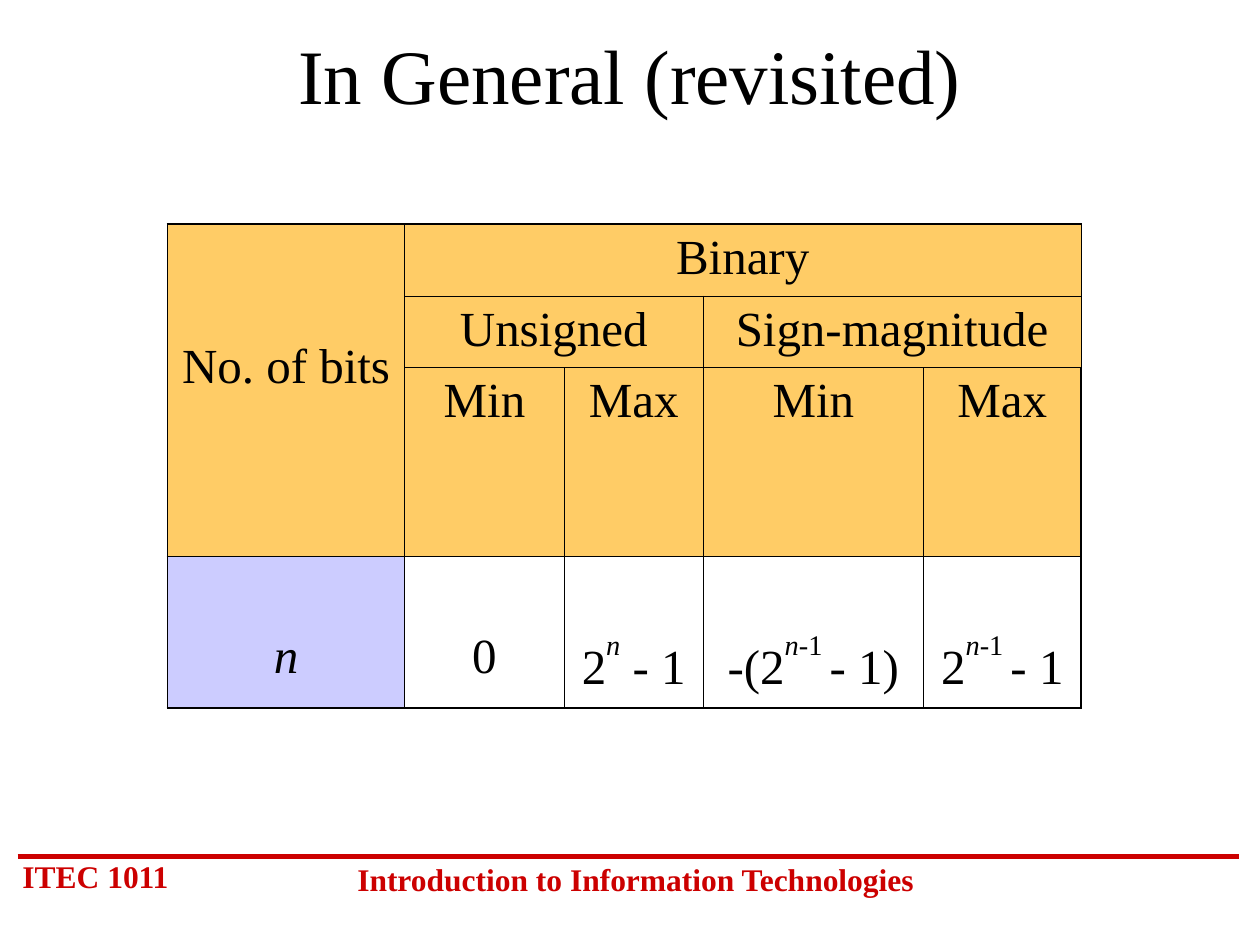
from dataclasses import dataclass

from lxml import etree
from pptx import Presentation
from pptx import util as u
from pptx.dml.color import RGBColor
from pptx.enum import shapes, text
from pptx.oxml import ns

FONT = "Times New Roman"
BLACK, RED, GOLD, LILAC = "000000", "CC0000", "FFCC66", "CCCCFF"
THIN, THICK = 0.45, 1.08
COLUMNS = [1.88, 1.27, 1.1, 1.75, 1.25]
ROWS = [0.57, 0.57, 1.5, 1.2]


@dataclass
class Span:
    words: str
    italic: bool = False
    raised: bool = False


@dataclass
class Entry:
    row: int
    column: int
    spans: list[Span]
    fill: str | None = GOLD
    rows: int = 1
    columns: int = 1
    top: float = 0.05


@dataclass
class Label:
    words: str
    left: float
    top: float
    width: float
    height: float
    size: int
    color: str
    bold: bool = False
    centred: bool = True
    anchor: text.MSO_ANCHOR = text.MSO_ANCHOR.TOP


N = Span("n", italic=True, raised=True)
MINUS_ONE = Span("-1 ", raised=True)
FORMULAS = [
    [Span("n", italic=True)],
    [Span("0")],
    [Span("2"), N, Span(" - 1")],
    [Span("-(2"), N, MINUS_ONE, Span("- 1)")],
    [Span("2"), N, MINUS_ONE, Span("- 1")],
]
ENTRIES = [
    Entry(0, 0, [Span("No. of bits")], rows=3, top=0.92),
    Entry(0, 1, [Span("Binary")], columns=4),
    Entry(1, 1, [Span("Unsigned")], columns=2),
    Entry(1, 3, [Span("Sign-magnitude")], columns=2),
    *[Entry(2, column, [Span("Max" if column % 2 == 0 else "Min")])
      for column in range(1, 5)],
    *[Entry(3, column, spans, LILAC if column == 0 else None, top=0.58)
      for column, spans in enumerate(FORMULAS)],
]
LABELS = [
    Label("ITEC 1011", 0.08, 6.75, 1.5, 0.4, 18, RED, bold=True, centred=False),
    Label("Introduction to Information Technologies",
          2.67, 6.78, 4.75, 0.4, 18, RED, bold=True),
    Label("In General (revisited)", 0.75, 0.17, 8.5, 0.83, 44, BLACK,
          anchor=text.MSO_ANCHOR.MIDDLE),
]


def rgb(color: str) -> RGBColor:
    return RGBColor.from_string(color)


def style(font, size: float, color: str, bold=False, italic=False) -> None:
    font.name, font.size = FONT, u.Pt(size)
    font.bold, font.italic = bold, italic
    font.color.rgb = rgb(color)


def add_label(page, label: Label) -> None:
    box = page.shapes.add_textbox(
        *map(u.Inches, (label.left, label.top, label.width, label.height)))
    frame = box.text_frame
    frame.word_wrap = True
    frame.vertical_anchor = label.anchor
    frame.text = label.words
    para = frame.paragraphs[0]
    para.alignment = text.PP_ALIGN.CENTER if label.centred else text.PP_ALIGN.LEFT
    style(para.runs[0].font, label.size, label.color, label.bold)


def add_rule(page) -> None:
    rule = page.shapes.add_connector(
        shapes.MSO_CONNECTOR.STRAIGHT,
        *map(u.Inches, (0.14, 6.8, 9.83, 6.8)))
    rule.line.color.rgb = rgb(RED)
    rule.line.width = u.Pt(3)
    etree.SubElement(rule._element.spPr, ns.qn("a:effectLst"))


def set_borders(cell, row: int, column: int) -> None:
    """Draw thick lines on the table's outer edge and thin ones inside."""
    outer = {
        "a:lnL": column == 0,
        "a:lnR": column == len(COLUMNS) - 1,
        "a:lnT": row == 0,
        "a:lnB": row == len(ROWS) - 1,
    }
    properties = cell._tc.get_or_add_tcPr()
    for tag, is_outer in outer.items():
        width = u.Pt(THICK if is_outer else THIN)
        line = etree.SubElement(properties, ns.qn(tag), w=str(int(width)))
        fill = etree.SubElement(line, ns.qn("a:solidFill"))
        etree.SubElement(fill, ns.qn("a:srgbClr"), val=BLACK)


def fill_entry(table, entry: Entry) -> None:
    cell = table.cell(entry.row, entry.column)
    if entry.rows * entry.columns > 1:
        cell.merge(table.cell(entry.row + entry.rows - 1,
                              entry.column + entry.columns - 1))
    if entry.fill:
        cell.fill.solid()
        cell.fill.fore_color.rgb = rgb(entry.fill)
    else:
        cell.fill.background()
    cell.margin_top = u.Inches(entry.top)
    para = cell.text_frame.paragraphs[0]
    para.alignment = text.PP_ALIGN.CENTER
    for part in entry.spans:
        span = para.add_run()
        span.text = part.words
        style(span.font, 28, BLACK, italic=part.italic)
        if part.raised:
            span._r.get_or_add_rPr().set("baseline", "60000")


def add_range_table(page) -> None:
    table = page.shapes.add_table(
        len(ROWS), len(COLUMNS), u.Inches(1.33), u.Inches(1.78),
        u.Inches(sum(COLUMNS)), u.Inches(sum(ROWS))).table
    table.first_row = table.horz_banding = False
    for column, width in zip(table.columns, COLUMNS):
        column.width = u.Inches(width)
    for row, height in zip(table.rows, ROWS):
        row.height = u.Inches(height)
    for row in range(len(ROWS)):
        for column in range(len(COLUMNS)):
            set_borders(table.cell(row, column), row, column)
    for entry in ENTRIES:
        fill_entry(table, entry)


def main() -> None:
    deck = Presentation()
    deck.slide_width, deck.slide_height = u.Inches(10), u.Inches(7.5)
    page = deck.slides.add_slide(deck.slide_layouts[6])
    add_rule(page)
    for label in LABELS:
        add_label(page, label)
    add_range_table(page)
    deck.save("out.pptx")


if __name__ == "__main__":
    main()
